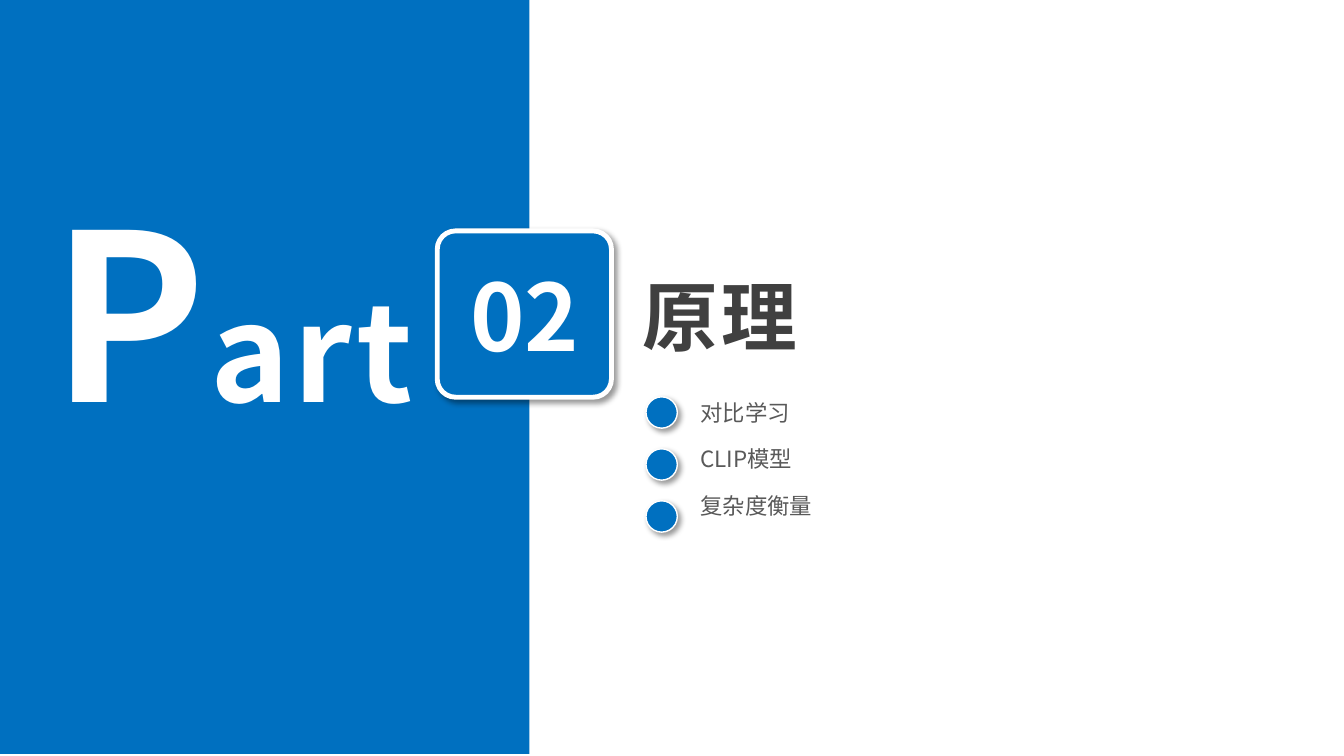
from dataclasses import dataclass
from lxml import etree
from pptx import Presentation
from pptx.dml.color import RGBColor
from pptx.enum import shapes as kinds, text as txt
from pptx.oxml import ns
from pptx.util import Cm, Pt

FONT = "Noto Sans CJK SC"
BLUE, WHITE, DARK, GREY = "0070C0", "FFFFFF", "404040", "595959"
ITEMS = ["对比学习", "CLIP模型", "复杂度衡量"]
STEP = 1.31


@dataclass
class Box:
    left: float
    top: float
    width: float
    height: float

    def place(self) -> list:
        return [Cm(v) for v in (self.left, self.top, self.width, self.height)]


@dataclass
class Style:
    size: float
    color: str
    bold: bool = False
    gap: int = 0


def tint(hue: str) -> RGBColor:
    return RGBColor.from_string(hue)


def add(node, tag: str, **attrs: str):
    return etree.SubElement(node, ns.qn(tag), **attrs)


def style_run(run, look: Style) -> None:
    font = run.font
    font.size, font.bold, font.name = Pt(look.size), look.bold, FONT
    font.color.rgb = tint(look.color)
    props = run._r.get_or_add_rPr()
    if look.gap:
        props.set("spc", str(look.gap * 100))
    add(props, "a:ea", typeface=FONT)


def fill_text(shape, lines: list[str], look: Style, align, space: float = 0) -> None:
    frame = shape.text_frame
    frame.text = "\n".join(lines)
    frame.word_wrap = True
    frame.vertical_anchor = txt.MSO_ANCHOR.TOP
    frame.auto_size = txt.MSO_AUTO_SIZE.SHAPE_TO_FIT_TEXT
    for i, par in enumerate(frame.paragraphs):
        par.alignment, par.line_spacing = align, 1.0
        par.space_before = Pt(space if i else 0)
        for run in par.runs:
            style_run(run, look)


def move(shape, box: Box) -> None:
    shape.left, shape.top, shape.width, shape.height = box.place()


def draw(host, kind, box: Box, line: float = 0):
    shape = host.add_shape(kind, *box.place())
    shape.shadow.inherit = False
    shape.fill.solid()
    shape.fill.fore_color.rgb = tint(BLUE)
    if not line:
        shape.line.fill.background()
        return shape
    shape.line.color.rgb = tint(WHITE)
    shape.line.width = Pt(line)
    # Soft shadow to the lower right
    effect = shape._element.spPr.find(ns.qn("a:effectLst"))
    shade = add(effect, "a:outerShdw", blurRad=str(Pt(4)), dist=str(Pt(3)),
                dir="2700000", algn="tl", rotWithShape="0")
    add(add(shade, "a:srgbClr", val="000000"), "a:alpha", val="40000")
    return shape


def main() -> None:
    deck = Presentation()
    deck.slide_width, deck.slide_height = Cm(33.87), Cm(19.05)
    slide = deck.slides.add_slide(deck.slide_layouts[1])
    left, mid = txt.PP_ALIGN.LEFT, txt.PP_ALIGN.CENTER
    form = kinds.MSO_SHAPE

    # Blue panel with the word "Part"
    draw(slide.shapes, form.RECTANGLE, Box(0, -0.05, 13.34, 19.05))
    part = slide.shapes.add_textbox(*Box(-2.11, 4.17, 15.93, 7.34).place())
    fill_text(part, ["P"], Style(166, WHITE, True, 3), mid)
    rest = part.text_frame.paragraphs[0].add_run()
    rest.text = "art"
    style_run(rest, Style(96, WHITE, True, 3))

    # Number badge
    badge = slide.shapes.add_group_shape().shapes
    tile = draw(badge, form.ROUNDED_RECTANGLE, Box(11.02, 5.82, 4.39, 4.19), 3.5)
    tile.adjustments[0] = 0.11
    number = badge.add_textbox(*Box(10.87, 6.4, 4.7, 3.07).place())
    fill_text(number, ["02"], Style(66, WHITE, True), mid)

    # Section title
    title = slide.shapes.title
    move(title, Box(15.93, 6.68, 13.92, 2.57))
    fill_text(title, ["原理"], Style(54, DARK, True, 3), left)

    # Topic list
    body = slide.placeholders[1]
    move(body, Box(17.4, 9.93, 6.93, 0.94 + STEP * (len(ITEMS) - 1)))
    fill_text(body, ITEMS, Style(16, GREY), left, 14)
    for i, par in enumerate(body.text_frame.paragraphs):
        props = par._p.get_or_add_pPr()
        props.set("marL", "0")
        props.set("indent", "0")
        add(props, "a:buNone")
        draw(slide.shapes, form.OVAL, Box(16.28, 10 + STEP * i, 0.79, 0.79), 1)

    deck.save("out.pptx")


if __name__ == "__main__":
    main()
